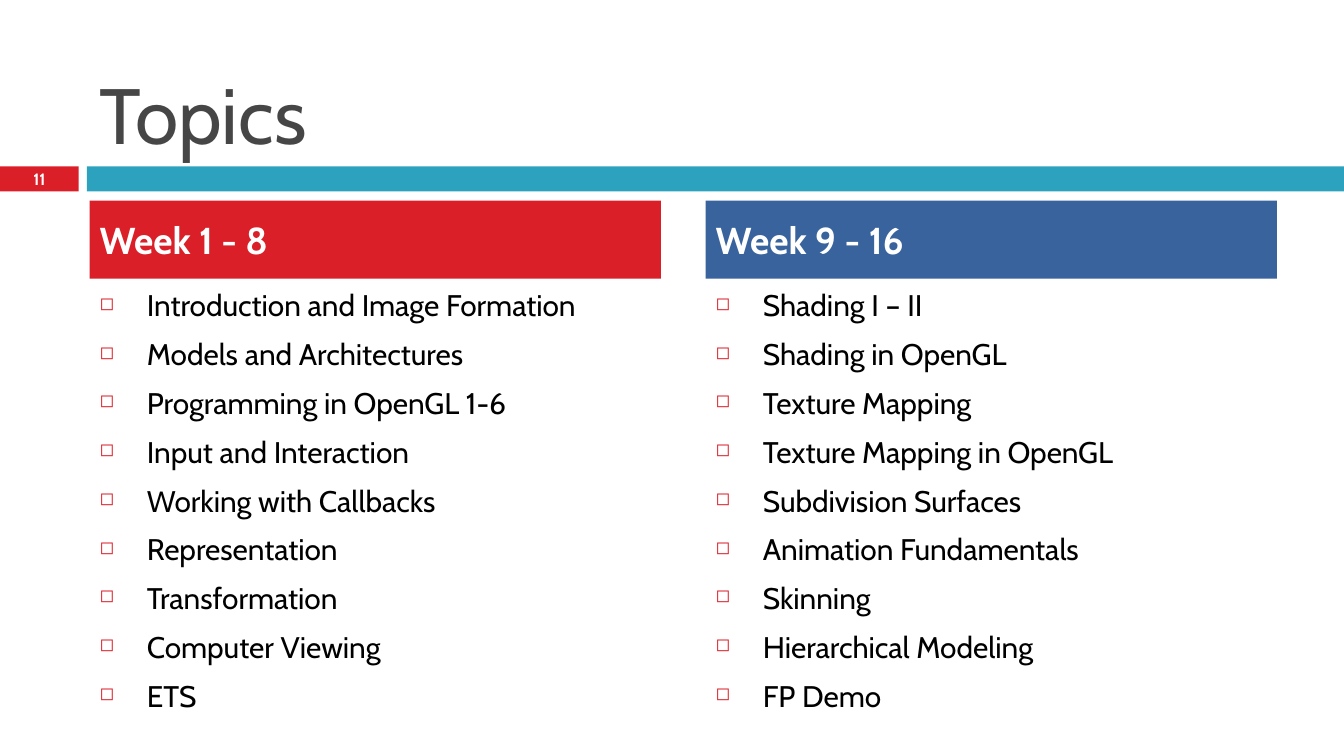
from lxml.etree import SubElement
from pptx import Presentation
from pptx.dml.color import RGBColor
from pptx.enum.shapes import MSO_SHAPE as Shape
from pptx.enum.text import MSO_ANCHOR as Anchor, PP_ALIGN as Align
from pptx.oxml.ns import qn
from pptx.util import Inches, Pt

COLOURS = {
    "red": "DA1F28",
    "teal": "2DA2BF",
    "blue": "39639D",
    "grey": "464646",
    "black": "000000",
    "white": "FFFFFF",
}

TOPICS = [
    ("Week 1 - 8", "red", [
        "Introduction and Image Formation",
        "Models and Architectures",
        "Programming in OpenGL 1-6",
        "Input and Interaction",
        "Working with Callbacks",
        "Representation",
        "Transformation",
        "Computer Viewing",
        "ETS",
    ]),
    ("Week 9 - 16", "blue", [
        "Shading I – II",
        "Shading in OpenGL",
        "Texture Mapping",
        "Texture Mapping in OpenGL",
        "Subdivision Surfaces",
        "Animation Fundamentals",
        "Skinning",
        "Hierarchical Modeling",
        "FP Demo",
    ]),
]


def colour(name):
    return RGBColor.from_string(COLOURS[name])


def add_bullet(para):
    """Give a paragraph a small red square with a hanging indent."""
    props = para._p.get_or_add_pPr()
    props.set("marL", str(Inches(0.47)))
    props.set("indent", str(Inches(-0.47)))
    tint = SubElement(props, qn("a:buClr"))
    SubElement(tint, qn("a:srgbClr"), val=COLOURS["red"])
    SubElement(props, qn("a:buSzPct"), val="60000")
    SubElement(props, qn("a:buChar"), char="◻")


def write(box, lines, *, size, ink, bold=False, bullets=False, gap=0,
          align=Align.LEFT, anchor=Anchor.TOP):
    frame = box.text_frame
    frame.word_wrap = True
    frame.vertical_anchor = anchor
    for index, line in enumerate(lines):
        para = frame.add_paragraph() if index else frame.paragraphs[0]
        para.alignment = align
        para.space_before = Pt(gap if index else 0)
        if bullets:
            add_bullet(para)
        span = para.add_run()
        span.text = line
        span.font.name = "Cabin"
        span.font.size = Pt(size)
        span.font.bold = bold
        span.font.color.rgb = colour(ink)


class TopicsPage:
    """Draws on one slide; every place is (left, top, width, height) in percent of it."""

    def __init__(self, deck):
        self.width, self.height = deck.slide_width, deck.slide_height
        self.page = deck.slides.add_slide(deck.slide_layouts[6])

    def place(self, left, top, width, height):
        sides = (self.width, self.height) * 2
        return [round(side * share / 100)
                for side, share in zip(sides, (left, top, width, height))]

    def band(self, place, fill):
        band = self.page.shapes.add_shape(Shape.RECTANGLE, *self.place(*place))
        band.shadow.inherit = False
        band.fill.solid()
        band.fill.fore_color.rgb = colour(fill)
        band.line.fill.background()
        return band

    def text(self, place, lines, **style):
        write(self.page.shapes.add_textbox(*self.place(*place)), lines, **style)

    def topic_column(self, left, heading, fill, topics):
        width = 42.5
        self.text((left, 37.33, width, 51), topics,
                  size=21.3, ink="black", bullets=True, gap=9.3)
        header = self.band((left, 26.55, width, 10.3), fill)
        write(header, [heading], size=26.7, ink="white", bold=True, anchor=Anchor.MIDDLE)


def main():
    deck = Presentation()
    deck.slide_width, deck.slide_height = Inches(13.33), Inches(7.5)
    page = TopicsPage(deck)

    margin, column_step = 6.67, 45.83
    page.band((0, 22, 5.85, 3.33), "red")
    page.band((6.47, 22, 93.53, 3.33), "teal")
    page.text((margin, 2.27, 89.2, 19.6), ["Topics"],
              size=56, ink="grey", anchor=Anchor.BOTTOM)
    page.text((0, 21.9, 5.85, 3.6), ["11"], size=11.7, ink="white", bold=True,
              align=Align.CENTER, anchor=Anchor.MIDDLE)
    for index, (heading, fill, topics) in enumerate(TOPICS):
        page.topic_column(margin + index * column_step, heading, fill, topics)

    deck.save("out.pptx")


if __name__ == "__main__":
    main()
